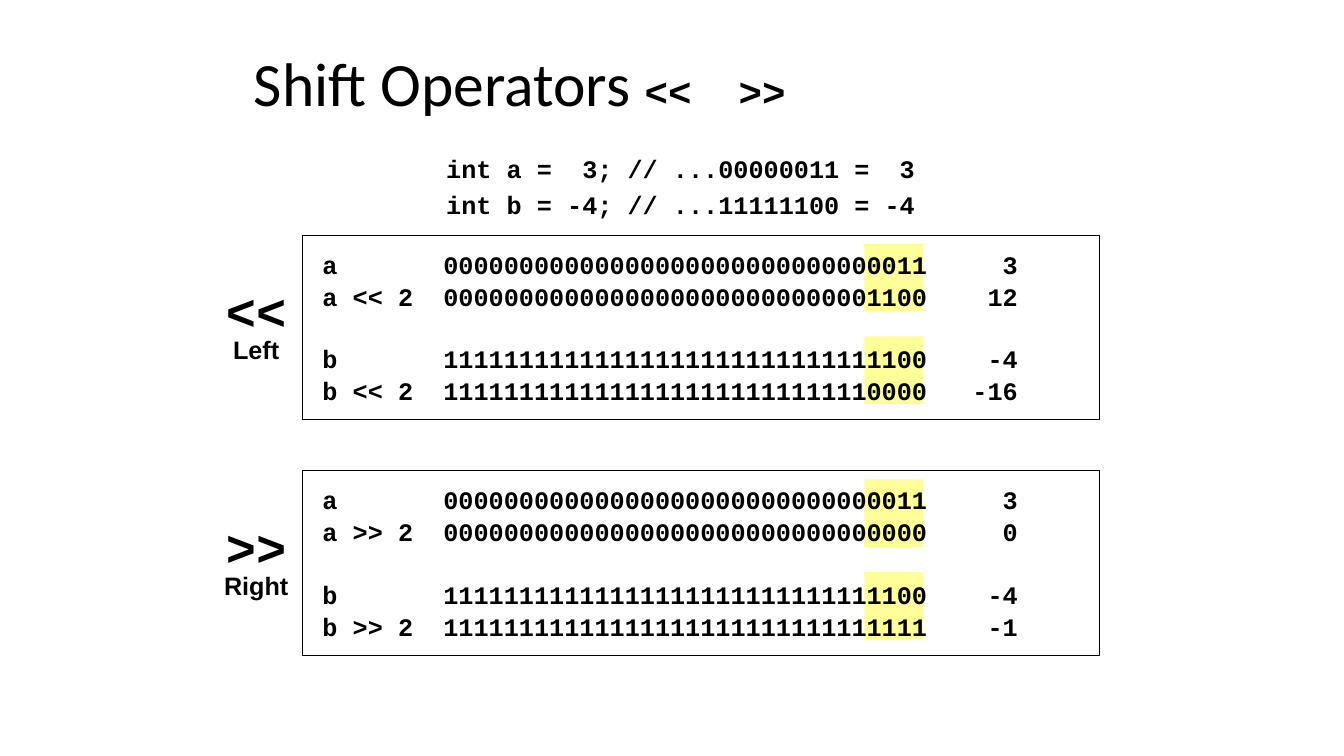
from dataclasses import dataclass

from pptx import Presentation
from pptx.dml.color import RGBColor
from pptx.enum.shapes import MSO_SHAPE
from pptx.enum.text import MSO_ANCHOR, MSO_AUTO_SIZE, PP_ALIGN
from pptx.util import Cm, Pt


@dataclass(frozen=True)
class Theme:
    ink: RGBColor = RGBColor(0, 0, 0)
    mark: RGBColor = RGBColor(0xFF, 0xFF, 0x99)
    head: str = "Calibri"
    sans: str = "Arial"
    mono: str = "Courier New"
    title: int = 44
    sign: int = 36
    sub: int = 28
    text: int = 18


THEME = Theme()


def add_run(para, text, face, size, bold=True):
    run = para.add_run()
    run.text = text
    font = run.font
    font.name, font.size, font.bold = face, Pt(size), bold
    font.color.rgb = THEME.ink


def add_line(frame, first, align=PP_ALIGN.LEFT, pitch=0.8, gap=0):
    para = frame.paragraphs[0] if first else frame.add_paragraph()
    para.alignment = align
    para.line_spacing = pitch
    para.space_before = Pt(0 if first else gap)
    return para


def set_frame(frame, left, top, wrap=True, anchor=MSO_ANCHOR.TOP):
    frame.word_wrap = wrap
    frame.auto_size = MSO_AUTO_SIZE.NONE
    frame.vertical_anchor = anchor
    frame.margin_left = frame.margin_right = Cm(left)
    frame.margin_top = frame.margin_bottom = Cm(top)


def add_title(slide, x, y, wide, high):
    title = slide.shapes.title
    title.left, title.top = Cm(x), Cm(y)
    title.width, title.height = Cm(wide), Cm(high)
    frame = title.text_frame
    set_frame(frame, 0.25, 0.13, anchor=MSO_ANCHOR.MIDDLE)
    para = add_line(frame, True)
    add_run(para, "Shift Operators ", THEME.head, THEME.title, False)
    add_run(para, "<<  >>", THEME.mono, THEME.sub)


def add_code(slide, x, y, wide, high):
    box = slide.shapes.add_textbox(Cm(x), Cm(y), Cm(wide), Cm(high))
    set_frame(box.text_frame, 0.25, 0.25)
    lines = ("int a =  3; // ...00000011 =  3",
             "int b = -4; // ...11111100 = -4")
    for i, line in enumerate(lines):
        para = add_line(box.text_frame, i == 0, pitch=0.7, gap=10.7)
        add_run(para, line, THEME.mono, THEME.text)


def add_label(slide, x, y, wide, high, sign, name):
    box = slide.shapes.add_textbox(Cm(x), Cm(y), Cm(wide), Cm(high))
    frame = box.text_frame
    set_frame(frame, 0.25, 0.13, wrap=False)
    add_run(add_line(frame, True, PP_ALIGN.CENTER), sign, THEME.mono, THEME.sign)
    add_run(add_line(frame, False, PP_ALIGN.CENTER), name, THEME.sans, THEME.text)


def add_panel(slide, x, y, wide, high, sign, name, shift):
    for i in range(2):
        mark = slide.shapes.add_shape(
            MSO_SHAPE.RECTANGLE, Cm(x + 14.17), Cm(y + 0.22 + 2.33 * i),
            Cm(1.48), Cm(1.7))
        mark.shadow.inherit = False
        mark.fill.solid()
        mark.fill.fore_color.rgb = THEME.mark
        mark.line.fill.background()

    box = slide.shapes.add_shape(
        MSO_SHAPE.RECTANGLE, Cm(x), Cm(y), Cm(wide), Cm(high))
    box.shadow.inherit = False
    box.fill.background()
    box.line.color.rgb = THEME.ink
    box.line.width = Pt(0.75)
    set_frame(box.text_frame, 0.51, 0.5)

    rows = [(expr, value)
            for var, start in (("a", 3), ("b", -4))
            for expr, value in ((var, start), (f"{var} {sign} 2", shift(start)))]
    for i, (expr, value) in enumerate(rows):
        para = add_line(box.text_frame, i == 0, gap=27.3 if i == 2 else 5.5)
        bits = f"{value & 0xFFFFFFFF:032b}"
        add_run(para, f"{expr:<8}{bits}{value:>6}", THEME.mono, THEME.text)

    add_label(slide, x - 2.23, y + 1.3, 2.14, 2.08, sign, name)


def main():
    deck = Presentation()
    deck.slide_width, deck.slide_height = Cm(33.88), Cm(19.05)
    slide = deck.slides.add_slide(deck.slide_layouts[5])
    add_title(slide, 6.15, 1.07, 21.59, 2.34)
    add_code(slide, 11, 3.81, 12.5, 1.7)
    add_panel(slide, 7.62, 5.93, 20.11, 4.65, "<<", "Left", lambda n: n << 2)
    add_panel(slide, 7.62, 11.86, 20.11, 4.65, ">>", "Right", lambda n: n >> 2)
    deck.save("out.pptx")


if __name__ == "__main__":
    main()
